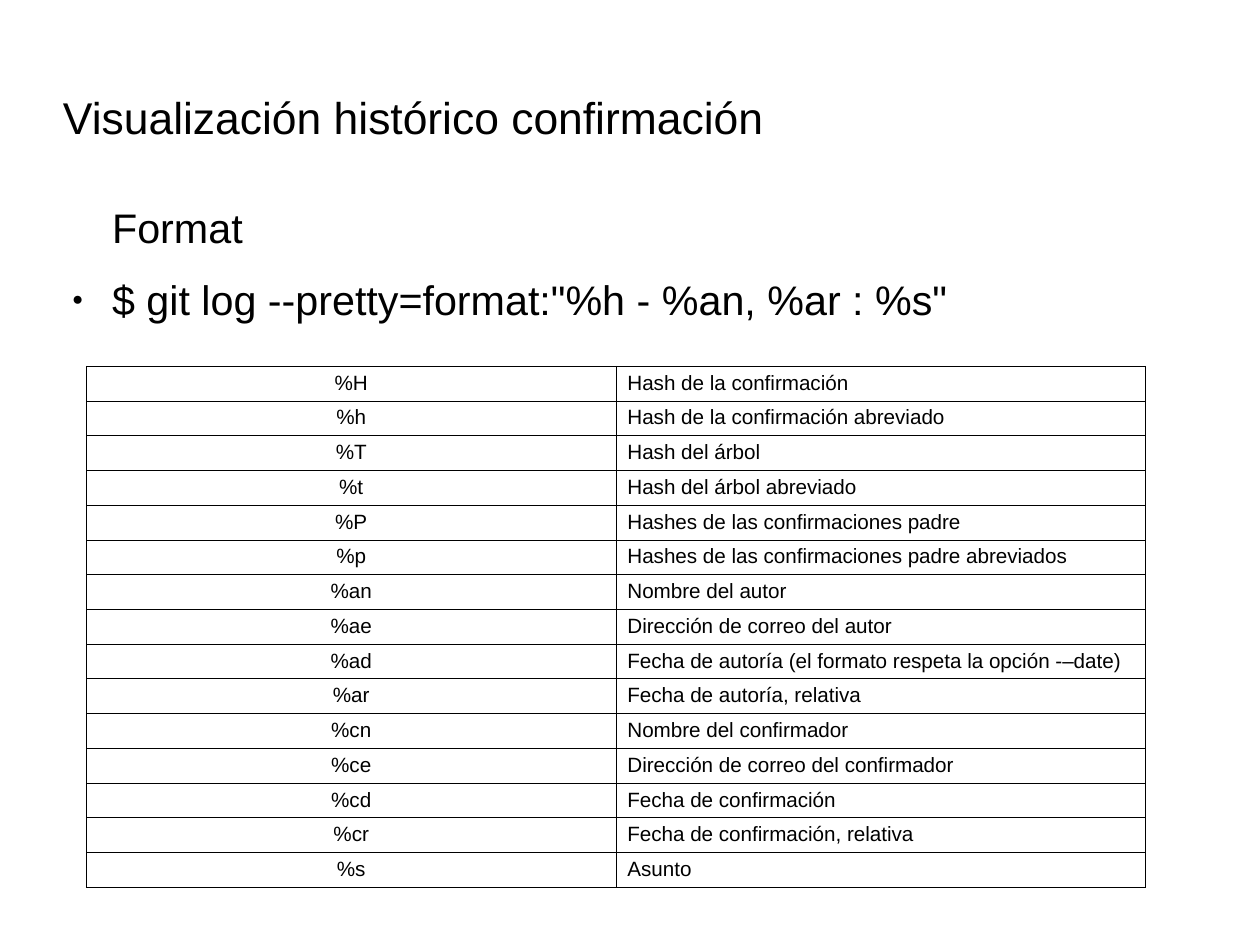
import pptx
import pptx.dml.color
import pptx.enum.text
import pptx.oxml
import pptx.oxml.ns
import pptx.util
from lxml import etree

Pt = pptx.util.Pt
Cm = pptx.util.Cm
Inches = pptx.util.Inches
ALIGN = pptx.enum.text.PP_ALIGN
ANCHOR = pptx.enum.text.MSO_ANCHOR
BLACK = pptx.dml.color.RGBColor(0, 0, 0)
WHITE = pptx.dml.color.RGBColor(255, 255, 255)

PLACEHOLDERS = [("%H", "Hash de la confirmación"),
                ("%h", "Hash de la confirmación abreviado"),
                ("%T", "Hash del árbol"),
                ("%t", "Hash del árbol abreviado"),
                ("%P", "Hashes de las confirmaciones padre"),
                ("%p", "Hashes de las confirmaciones padre abreviados"),
                ("%an", "Nombre del autor"),
                ("%ae", "Dirección de correo del autor"),
                ("%ad", "Fecha de autoría (el formato respeta la opción -–date)"),
                ("%ar", "Fecha de autoría, relativa"),
                ("%cn", "Nombre del confirmador"),
                ("%ce", "Dirección de correo del confirmador"),
                ("%cd", "Fecha de confirmación"),
                ("%cr", "Fecha de confirmación, relativa"),
                ("%s", "Asunto")]

deck = pptx.Presentation()
deck.slide_width, deck.slide_height = Cm(28), Cm(21)
slide = deck.slides.add_slide(deck.slide_layouts[1])


def share(left, top, width, height):
    """Turn percentages of the slide's size into lengths."""
    across, down = deck.slide_width / 100, deck.slide_height / 100
    return [round(n) for n in (left * across, top * down, width * across, height * down)]


def style(paragraph, size, align=ALIGN.LEFT):
    paragraph.alignment = align
    for name, value in {"name": "Arial", "size": Pt(size), "bold": False}.items():
        setattr(paragraph.font, name, value)
    paragraph.font.color.rgb = BLACK


title, body = slide.placeholders
title.text_frame.text = "Visualización histórico confirmación"
body.text_frame.text = 'Format\n$ git log --pretty=format:"%h - %an, %ar : %s"'
for holder, box, anchor in [(title, (5, 7.55, 71.42, 9.55), ANCHOR.MIDDLE),
                            (body, (4.63, 21.4, 90, 73.76), ANCHOR.TOP)]:
    holder.left, holder.top, holder.width, holder.height = share(*box)
    frame_format = {"margin_left": 0, "margin_top": 0, "margin_right": 0, "margin_bottom": 0,
                    "word_wrap": True, "vertical_anchor": anchor,
                    "auto_size": pptx.enum.text.MSO_AUTO_SIZE.NONE}
    for name, value in frame_format.items():
        setattr(holder.text_frame, name, value)
style(title.text_frame.paragraphs[0], 28)

NO_BULLET = [("a:buNone", {})]
DOT = [("a:buSzPct", {"val": "45000"}), ("a:buChar", {"char": "●"})]
for paragraph, bullet, hanging in zip(body.text_frame.paragraphs, (NO_BULLET, DOT), (0, -0.35)):
    properties = paragraph._p.get_or_add_pPr()
    properties.set("marL", str(Inches(0.47)))
    properties.set("indent", str(Inches(hanging)))
    for tag, attributes in bullet:
        etree.SubElement(properties, pptx.oxml.ns.qn(tag), attributes)
    paragraph.space_before, paragraph.space_after = Pt(0), Pt(14.2)
    style(paragraph, 26)

table = slide.shapes.add_table(len(PLACEHOLDERS), 2, *share(6.86, 38.75, 84.05, 55.2)).table
table.first_row = table.horz_banding = False
BORDER = ('<a:{side} xmlns:a="http://schemas.openxmlformats.org/drawingml/2006/main" w="{width}">'
          '<a:solidFill><a:srgbClr val="{color}"/></a:solidFill></a:{side}>')
for r, entry in enumerate(PLACEHOLDERS):
    for c, (text, align) in enumerate(zip(entry, (ALIGN.CENTER, ALIGN.LEFT))):
        cell = table.cell(r, c)
        cell.text = text
        cell.margin_top = cell.margin_bottom = Pt(3.4)
        style(cell.text_frame.paragraphs[0], 13, align)
        for side in ("lnL", "lnR", "lnT", "lnB"):
            line = BORDER.format(side=side, width=Pt(0.57), color=BLACK)
            cell._tc.get_or_add_tcPr().append(pptx.oxml.parse_xml(line))
        cell.fill.solid()
        cell.fill.fore_color.rgb = WHITE

deck.save("out.pptx")
